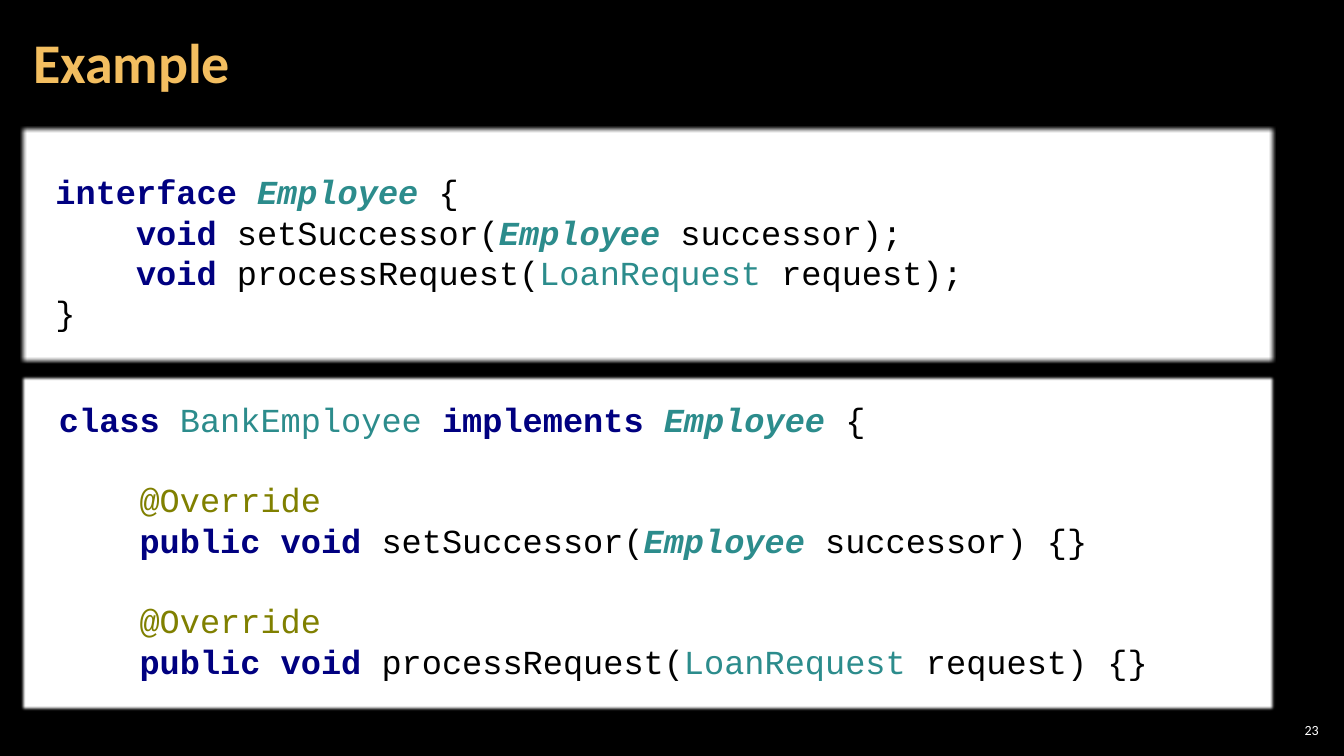
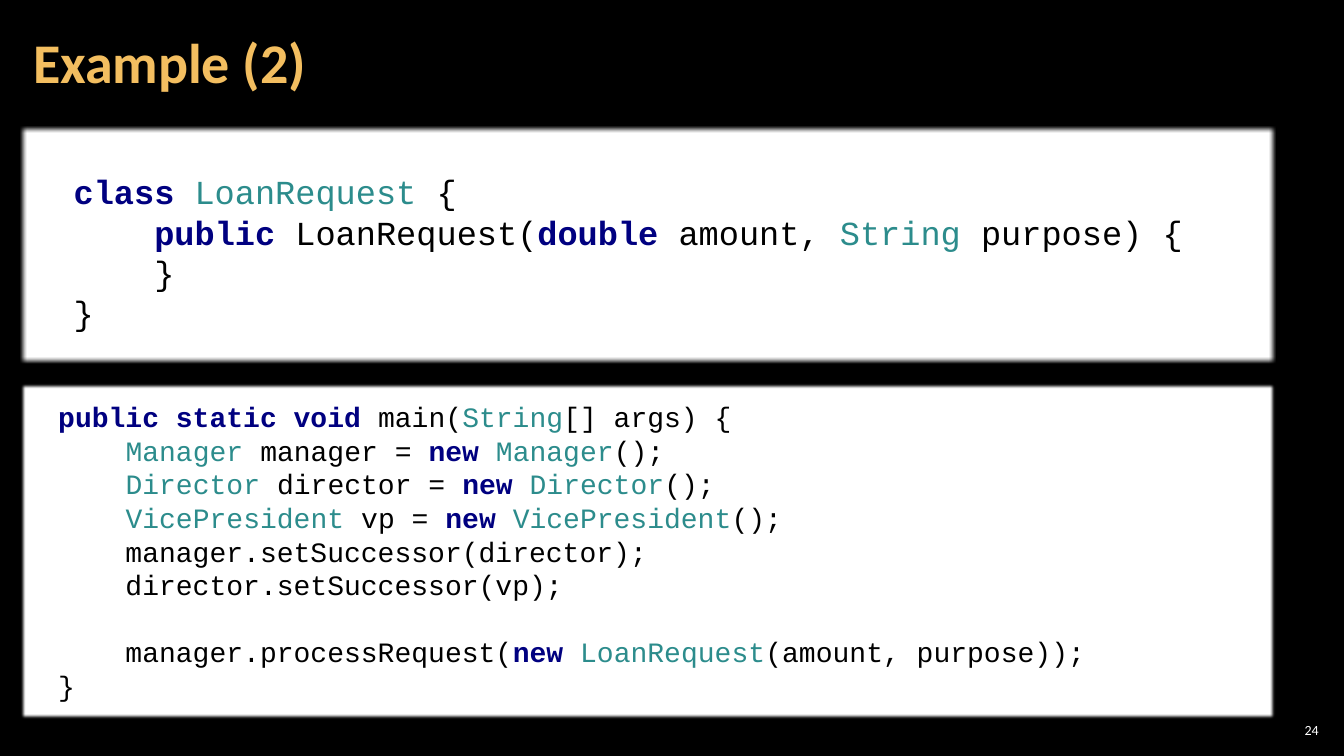
from dataclasses import dataclass, field

from lxml.etree import SubElement
from pptx import Presentation
from pptx.dml.color import RGBColor
from pptx.enum.shapes import MSO_SHAPE as Shape
from pptx.enum.text import MSO_ANCHOR as Anchor, PP_ALIGN as Align
from pptx.oxml.ns import qn
from pptx.util import Pt


@dataclass(frozen=True)
class Theme:
    background: str = "000000"
    panel: str = "FFFFFF"
    title: str = "F3BE60"
    number: str = "FFFFFF"
    code: str = "000000"
    text_font: str = "Calibri"
    code_font: str = "Courier New"
    title_size: int = 40
    number_size: int = 10
    code_size: int = 24
    small_code_size: int = 20
    code_leading: float = 1.2
    soft_edge: float = 2
    # Code style: colour, bold, italic
    syntax: dict = field(default_factory=lambda: {
        "keyword": ("000080", True, False),
        "type": ("2C8C8C", False, False),
        "interface": ("2C8C8C", True, True),
        "note": ("808000", False, False),
    })


THEME = Theme()
FIRST_NUMBER = 23

# Boxes: left, top, width, height
TITLE_BOX = (15, 3, 754, 87)
NUMBER_BOX = (911, 514, 34, 15)
PANEL_LEFT, PANEL_WIDTH = 15, 896
UPPER_PANEL = (90.5, 169)  # top, height
LOWER_HEIGHT = 240

# Code: "|" separates runs, and "style:" opens a highlighted run
EMPLOYEE = """\
keyword:interface |interface:Employee |{
    |keyword:void |setSuccessor(|interface:Employee |successor);
    |keyword:void |processRequest(|type:LoanRequest |request);
}"""

BANK_EMPLOYEE = """\
keyword:class |type:BankEmployee |keyword:implements |interface:Employee |{

    |note:@Override
    |keyword:public void |setSuccessor(|interface:Employee |successor) {}

    |note:@Override
    |keyword:public void |processRequest(|type:LoanRequest |request) {}"""

LOAN_REQUEST = """\
keyword:class |type:LoanRequest |{
    |keyword:public |LoanRequest(|keyword:double |amount, |type:String |purpose) {
    }
}"""

MAIN_METHOD = """\
keyword:public static void |main(|type:String|[] args) {
    |type:Manager |manager = |keyword:new |type:Manager|();
    |type:Director |director = |keyword:new |type:Director|();
    |type:VicePresident |vp = |keyword:new |type:VicePresident|();
    manager.setSuccessor(director);
    director.setSuccessor(vp);

    manager.processRequest(|keyword:new |type:LoanRequest|(amount, purpose));
}"""

# Title, top of the lower panel, and code blocks as (code, box, size)
SLIDES = [
    ("Example", 268, [
        (EMPLOYEE, (32.5, 118, 752, 124), THEME.code_size),
        (BANK_EMPLOYEE, (35, 280, 835, 211), THEME.code_size),
    ]),
    ("Example (2)", 274, [
        (LOAN_REQUEST, (45.5, 118, 835, 124), THEME.code_size),
        (MAIN_METHOD, (34.5, 281, 835, 225), THEME.small_code_size),
    ]),
]


def points(box):
    return [Pt(length) for length in box]


def write(frame, text, *, size, color, font=THEME.text_font, bold=False,
          align=Align.LEFT, spacing=1.0, insets=(7.2, 3.6)):
    """Fill a frame; an empty line becomes space before the next one."""
    frame.word_wrap = True
    frame.vertical_anchor = Anchor.MIDDLE
    frame.margin_left = frame.margin_right = Pt(insets[0])
    frame.margin_top = frame.margin_bottom = Pt(insets[1])
    paragraph, gap = None, 0
    for line in text.split("\n"):
        if not line:
            gap = spacing
            continue
        paragraph = frame.add_paragraph() if paragraph else frame.paragraphs[0]
        paragraph.alignment = align
        paragraph.line_spacing = spacing
        paragraph.space_before, gap = Pt(0) + gap, 0
        for part in line.split("|"):
            style, _, words = part.rpartition(":")
            run_color, run_bold, run_italic = THEME.syntax.get(style, (color, bold, False))
            run = paragraph.add_run()
            run.text = words
            run.font.name, run.font.size = font, Pt(size)
            run.font.bold, run.font.italic = run_bold, run_italic
            run.font.color.rgb = RGBColor.from_string(run_color)


def add_panel(slide, top, height):
    shape = slide.shapes.add_shape(
        Shape.RECTANGLE, *points((PANEL_LEFT, top, PANEL_WIDTH, height)))
    shape.shadow.inherit = False
    shape.fill.solid()
    shape.fill.fore_color.rgb = RGBColor.from_string(THEME.panel)
    shape.line.fill.background()
    effects = shape._element.spPr.find(qn("a:effectLst"))
    SubElement(effects, qn("a:softEdge"), rad=str(Pt(THEME.soft_edge)))


def add_text(slide, text, box, **text_format):
    write(slide.shapes.add_textbox(*points(box)).text_frame, text, **text_format)


def add_code(slide, code, box, size):
    add_text(slide, code, box, size=size, color=THEME.code, font=THEME.code_font,
             spacing=Pt(size * THEME.code_leading))


def prepare_layout(presentation):
    """Set the shared background and title place; return the layout."""
    fill = presentation.slide_master.background.fill
    fill.solid()
    fill.fore_color.rgb = RGBColor.from_string(THEME.background)
    layout = presentation.slide_layouts.get_by_name("Title Only")
    title = layout.placeholders[0]
    title.left, title.top, title.width, title.height = points(TITLE_BOX)
    return layout


def add_slide(presentation, layout, number, title, lower_top, blocks):
    slide = presentation.slides.add_slide(layout)
    write(slide.shapes.title.text_frame, title, size=THEME.title_size,
          color=THEME.title, bold=True, spacing=0.9, insets=(8.6, 3))
    add_text(slide, str(number), NUMBER_BOX, size=THEME.number_size,
             color=THEME.number, align=Align.RIGHT, insets=(3, 3))
    # Panels with their code
    for panel, block in zip([UPPER_PANEL, (lower_top, LOWER_HEIGHT)], blocks):
        add_panel(slide, *panel)
        add_code(slide, *block)


def main():
    presentation = Presentation()
    presentation.slide_width, presentation.slide_height = Pt(960), Pt(540)
    layout = prepare_layout(presentation)
    for number, content in enumerate(SLIDES, FIRST_NUMBER):
        add_slide(presentation, layout, number, *content)
    presentation.save("out.pptx")


if __name__ == "__main__":
    main()
